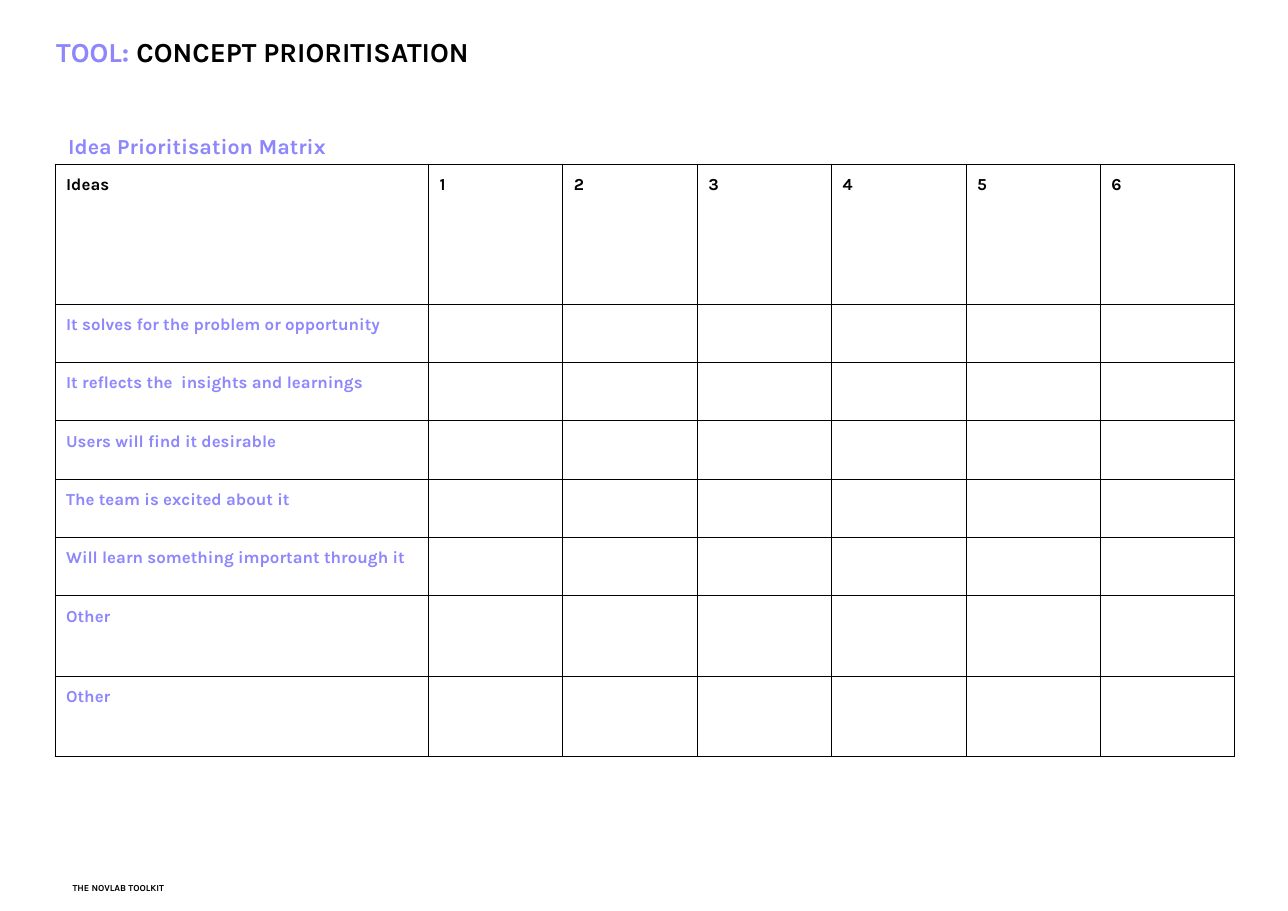
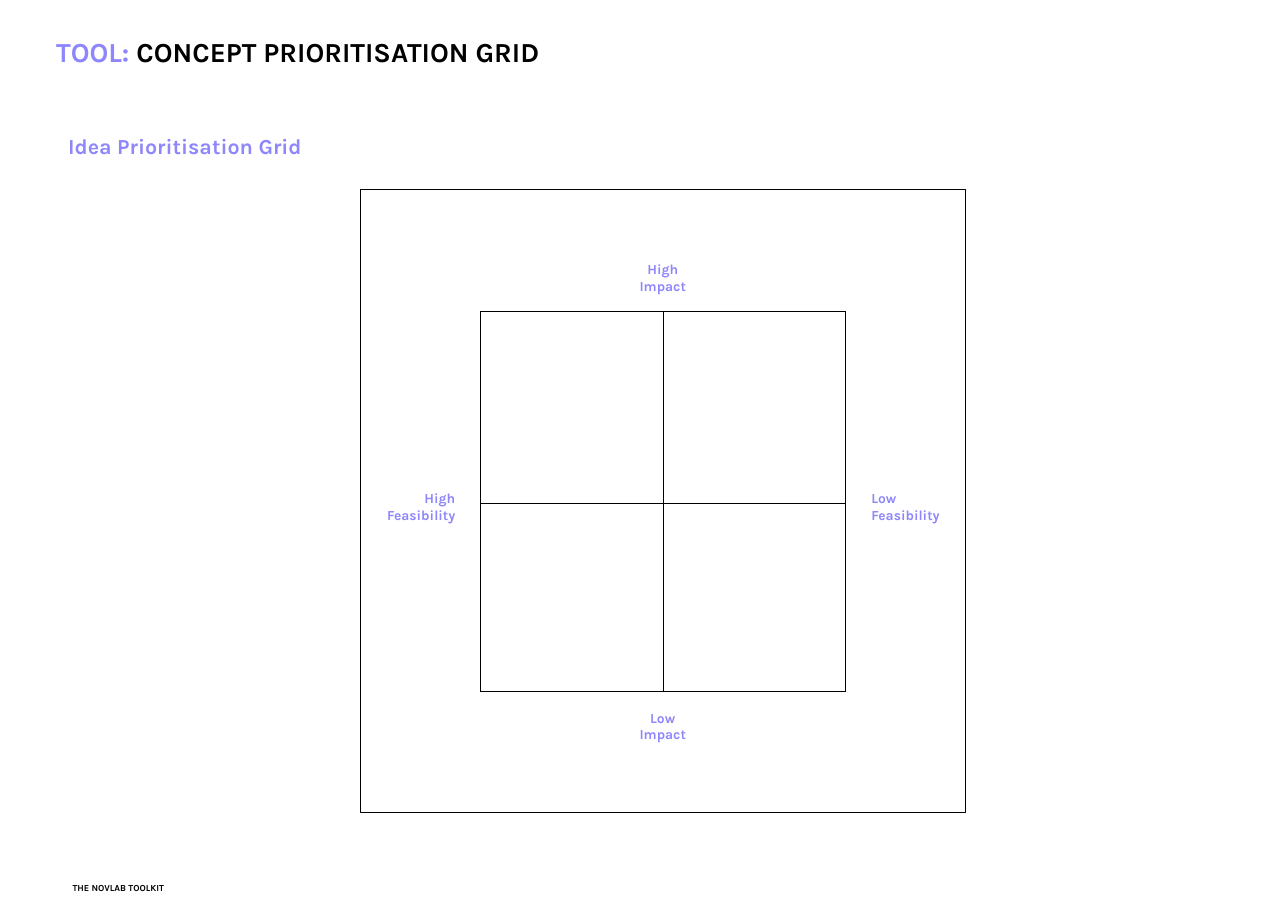
from dataclasses import dataclass

from lxml.etree import SubElement
from pptx import Presentation
from pptx.dml.color import RGBColor
from pptx.enum.shapes import MSO_SHAPE
from pptx.enum.text import MSO_ANCHOR, MSO_AUTO_SIZE, PP_ALIGN
from pptx.oxml.ns import qn
from pptx.slide import Slide
from pptx.table import Table, _Cell
from pptx.text.text import TextFrame, _Paragraph
from pptx.util import Emu, Pt

EMU_PER_PX = 9144
FONT = "Karla"
COLORS = {"accent": "8D86FC", "ink": "000000", "paper": "FFFFFF"}
RULE_WIDTH = Pt(0.75)
INSET = 10
TITLE_INSET = 13

CRITERIA = [
    "It solves for the problem or opportunity",
    "It reflects the  insights and learnings",
    "Users will find it desirable",
    "The team is excited about it",
    "Will learn something important through it",
    "Other",
    "Other",
]
IDEA_COUNT = 6


@dataclass(frozen=True)
class Box:
    left: int
    top: int
    width: int
    height: int

    def emu(self) -> tuple[Emu, Emu, Emu, Emu]:
        return px(self.left), px(self.top), px(self.width), px(self.height)


@dataclass(frozen=True)
class Label:
    box: Box
    lines: tuple[str, ...]
    size: int
    color: str = "accent"
    align: PP_ALIGN = PP_ALIGN.LEFT
    anchor: MSO_ANCHOR = MSO_ANCHOR.TOP
    spacing: float = 1.0


TITLE_BOX = Box(38, 32, 539, 43)
FOOTER = Label(Box(56, 787, 461, 29), ("THE NOVLAB TOOLKIT",), 6, "ink",
               anchor=MSO_ANCHOR.BOTTOM)
GRID_FRAME = Box(327, 172, 549, 566)
AXIS_LABELS = [
    Label(Box(334, 435, 89, 41), ("High Feasibility",), 9, align=PP_ALIGN.RIGHT),
    Label(Box(781, 435, 89, 41), ("Low Feasibility",), 9),
    Label(Box(557, 227, 89, 41), ("High", "Impact"), 9, align=PP_ALIGN.CENTER),
    Label(Box(557, 634, 89, 41), ("Low", "Impact"), 9, align=PP_ALIGN.CENTER),
]


def px(length: int) -> Emu:
    return Emu(length * EMU_PER_PX)


def rgb(color: str) -> RGBColor:
    return RGBColor.from_string(COLORS[color])


def style_paragraph(paragraph: _Paragraph, size: int, color: str) -> None:
    font = paragraph.font
    font.name = FONT
    font.size = Pt(size)
    font.bold = True
    font.color.rgb = rgb(color)


def set_insets(target: TextFrame | _Cell, inset: int) -> None:
    target.margin_left = target.margin_right = px(inset)
    target.margin_top = target.margin_bottom = px(inset)


def add_label(slide: Slide, label: Label) -> None:
    frame = slide.shapes.add_textbox(*label.box.emu()).text_frame
    frame.word_wrap = True
    frame.vertical_anchor = label.anchor
    set_insets(frame, INSET)
    frame.text = "\n".join(label.lines)
    for paragraph in frame.paragraphs:
        paragraph.alignment = label.align
        paragraph.line_spacing = label.spacing
        style_paragraph(paragraph, label.size, label.color)


def add_tool_slide(deck: Presentation, tool: str, subtitle: str) -> Slide:
    slide = deck.slides.add_slide(deck.slide_layouts[5])
    title = slide.shapes.title
    title.left, title.top, title.width, title.height = TITLE_BOX.emu()
    frame = title.text_frame
    frame.auto_size = MSO_AUTO_SIZE.NONE
    frame.word_wrap = True
    frame.vertical_anchor = MSO_ANCHOR.BOTTOM
    set_insets(frame, TITLE_INSET)
    heading = frame.paragraphs[0]
    heading.alignment = PP_ALIGN.LEFT
    style_paragraph(heading, 18, "ink")
    for words, color in (("TOOL:", "accent"), (f" {tool}", "ink")):
        run = heading.add_run()
        run.text = words
        run.font.color.rgb = rgb(color)
    add_label(slide, Label(Box(52, 99, 337, 43), (subtitle,), 14, spacing=1.5))
    add_label(slide, FOOTER)
    return slide


def rule_cell(cell: _Cell) -> None:
    properties = cell._tc.get_or_add_tcPr()
    for side in ("a:lnL", "a:lnR", "a:lnT", "a:lnB"):
        border = SubElement(properties, qn(side), w=str(RULE_WIDTH))
        fill = SubElement(border, qn("a:solidFill"))
        SubElement(fill, qn("a:srgbClr"), val=COLORS["ink"])
    cell.fill.solid()
    cell.fill.fore_color.rgb = rgb("paper")


def add_ruled_table(slide: Slide, left: int, top: int,
                    widths: list[int], heights: list[int]) -> Table:
    box = Box(left, top, sum(widths), sum(heights))
    table = slide.shapes.add_table(len(heights), len(widths), *box.emu()).table
    table.first_row = table.horz_banding = False
    for column, width in zip(table.columns, widths):
        column.width = px(width)
    for row, height in zip(table.rows, heights):
        row.height = px(height)
    for cell in table.iter_cells():
        rule_cell(cell)
    return table


def fill_cell(cell: _Cell, words: str, color: str) -> None:
    set_insets(cell, INSET)
    cell.text = words
    style_paragraph(cell.text_frame.paragraphs[0], 11, color)


def build_matrix(deck: Presentation) -> None:
    slide = add_tool_slide(deck, "CONCEPT PRIORITISATION", "Idea Prioritisation Matrix")
    matrix = add_ruled_table(slide, 50, 149, [339] + [122] * IDEA_COUNT,
                             [127] + [53] * 5 + [73] * 2)
    headings = ["Ideas"] + [str(idea) for idea in range(1, IDEA_COUNT + 1)]
    for column, heading in enumerate(headings):
        fill_cell(matrix.cell(0, column), heading, "ink")
    for row, criterion in enumerate(CRITERIA, start=1):
        fill_cell(matrix.cell(row, 0), criterion, "accent")


def build_grid(deck: Presentation) -> None:
    slide = add_tool_slide(deck, "CONCEPT PRIORITISATION GRID", "Idea Prioritisation Grid")
    border = slide.shapes.add_shape(MSO_SHAPE.RECTANGLE, *GRID_FRAME.emu())
    border.shadow.inherit = False
    border.fill.solid()
    border.fill.fore_color.rgb = rgb("paper")
    border.line.color.rgb = rgb("ink")
    border.line.width = RULE_WIDTH
    add_ruled_table(slide, 436, 283, [166, 165], [174, 171])
    for label in AXIS_LABELS:
        add_label(slide, label)


def main() -> None:
    deck = Presentation()
    deck.slide_width, deck.slide_height = px(1169), px(827)
    build_matrix(deck)
    build_grid(deck)
    deck.save("out.pptx")


if __name__ == "__main__":
    main()
